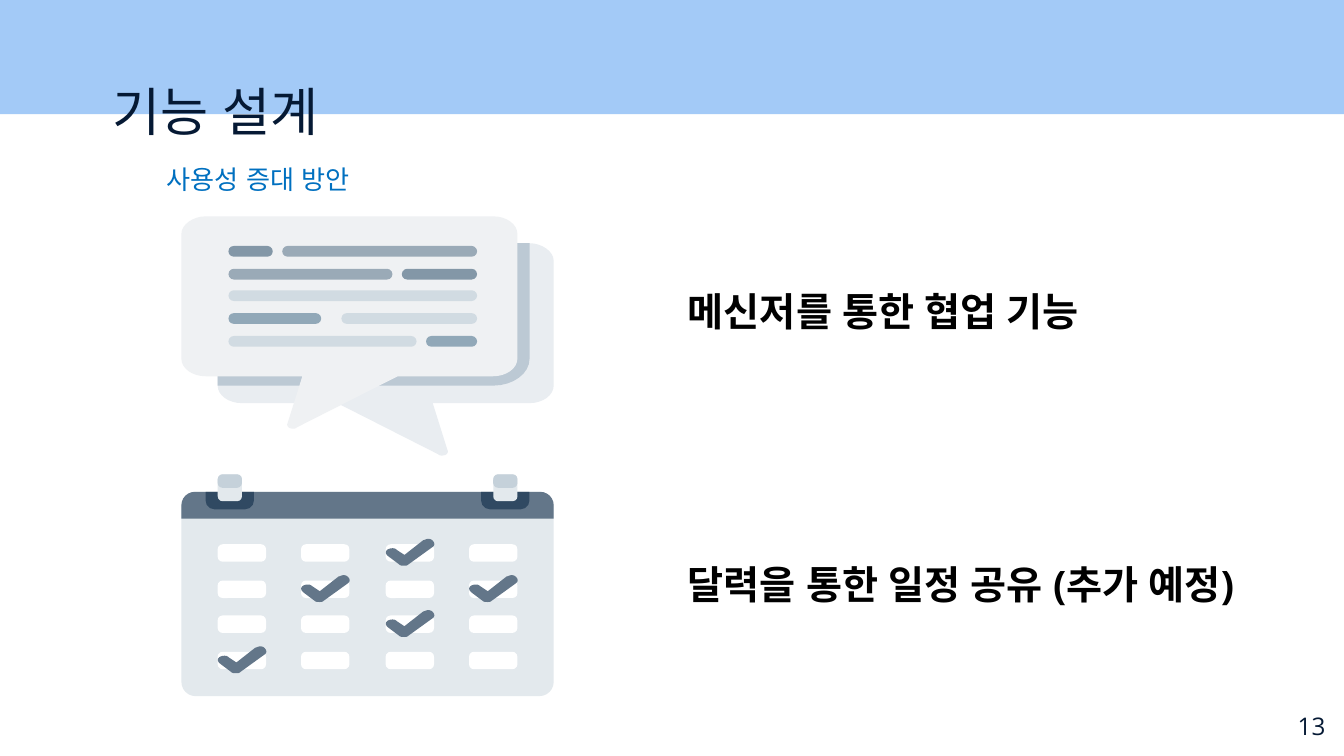
import lxml.etree
import pptx
import pptx.dml.color
import pptx.enum.shapes
import pptx.enum.text
import pptx.oxml.ns
import pptx.util

RGBColor = pptx.dml.color.RGBColor
Shape = pptx.enum.shapes.MSO_SHAPE
Align = pptx.enum.text.PP_ALIGN

PX = 9144  # EMU per px, 100 px to the inch
CURVE_STEPS = 8

SKY = RGBColor(0xA3, 0xCA, 0xF7)
NAVY = RGBColor(0x05, 0x19, 0x34)
BLUE = RGBColor(0x00, 0x70, 0xC0)
BLACK = RGBColor(0x00, 0x00, 0x00)
WHITE = RGBColor(0xFF, 0xFF, 0xFF)
BUBBLE_BACK = RGBColor(0xE9, 0xED, 0xF1)
BUBBLE_SHADE = RGBColor(0xBC, 0xC9, 0xD4)
BUBBLE_FRONT = RGBColor(0xEF, 0xF1, 0xF3)
BAR_PALE = RGBColor(0xD1, 0xDB, 0xE2)
BAR_GREY = RGBColor(0x9A, 0xAA, 0xB7)
BAR_DARK = RGBColor(0x83, 0x97, 0xA7)
BAR_BLUE = RGBColor(0x91, 0xA8, 0xB8)
PAPER = RGBColor(0xE3, 0xE9, 0xED)
SLATE = RGBColor(0x63, 0x76, 0x89)
CLIP_HOLE = RGBColor(0x30, 0x49, 0x62)
CLIP_TOP = RGBColor(0xC5, 0xD1, 0xDA)

# Outlines: (x, y) is a straight step, six numbers are a cubic curve
BUBBLE = [
    (180, 181), (170, 181, 162, 187, 162, 194),
    (162, 287), (162, 294, 170, 300, 180, 300),
    (251, 300), (326, 338), (327, 339, 328, 339, 329, 339),
    (332, 339, 334, 337, 333, 335), (322, 300),
    (394, 300), (404, 300, 412, 294, 412, 287),
    (412, 194), (412, 187, 403, 181, 394, 181),
]
SHADE = [
    (180, 181), (170, 181, 162, 187, 162, 194), (162, 287),
    (367, 287), (382, 287, 394, 278, 394, 267), (394, 181),
]
CHECK = [  # relative to the corner of its day cell
    (32, -4), (30, -4, 29, -3, 28, -3), (14, 8), (8, 4),
    (7, 3, 6, 3, 5, 3), (1, 3, -2, 6, 2, 9), (10, 15),
    (11, 16, 12, 16, 14, 16), (15, 16, 16, 16, 17, 15),
    (35, 2), (38, 0, 35, -4, 32, -4),
]


class SlideBuilder:
    def __init__(self, presentation):
        self.slide = presentation.slides.add_slide(presentation.slide_layouts[6])
        self.shapes = self.slide.shapes

    def start_group(self):
        self.shapes = self.slide.shapes.add_group_shape().shapes

    def paint(self, shape, color):
        shape.shadow.inherit = False
        shape.fill.solid()
        shape.fill.fore_color.rgb = color
        shape.line.fill.background()

    def box(self, left, top, width, height, color, kind=Shape.RECTANGLE, corners=()):
        shape = self.shapes.add_shape(
            kind, left * PX, top * PX, width * PX, height * PX)
        for index, corner in enumerate(corners):
            shape.adjustments[index] = corner
        self.paint(shape, color)

    def rounded(self, left, top, width, height, color, corner):
        self.box(left, top, width, height, color, Shape.ROUNDED_RECTANGLE, [corner])

    def outline(self, steps, color, dx=0, dy=0, flip=1):
        points = []
        for step in steps:
            if len(step) == 2:
                points.append(step)
                continue
            x0, y0 = points[-1]
            x1, y1, x2, y2, x3, y3 = step
            for index in range(1, CURVE_STEPS + 1):
                t = index / CURVE_STEPS
                a, b, c, d = (1 - t)**3, 3 * t * (1 - t)**2, 3 * t**2 * (1 - t), t**3
                points.append((a * x0 + b * x1 + c * x2 + d * x3,
                               a * y0 + b * y1 + c * y2 + d * y3))
        points = [(round((flip * x + dx) * PX), round((y + dy) * PX)) for x, y in points]
        builder = self.shapes.build_freeform(*points[0])
        builder.add_line_segments(points[1:], close=True)
        self.paint(builder.convert_to_shape(), color)

    def text(self, left, top, width, height, words, size, color, font="Open Sans",
             bold=False, align=Align.LEFT, inset=10):
        shape = self.slide.shapes.add_textbox(
            left * PX, top * PX, width * PX, height * PX)
        frame = shape.text_frame
        frame.word_wrap = True
        frame.margin_left = frame.margin_right = 10 * PX
        frame.margin_top = frame.margin_bottom = inset * PX
        paragraph = frame.paragraphs[0]
        paragraph.text = words
        paragraph.alignment = align
        paragraph.font.name = font
        paragraph.font.size = pptx.util.Pt(size)
        paragraph.font.bold = bold
        paragraph.font.color.rgb = color
        # Korean text takes its font from a:ea
        properties = paragraph._p.pPr.find(pptx.oxml.ns.qn("a:defRPr"))
        lxml.etree.SubElement(properties, pptx.oxml.ns.qn("a:ea"), typeface=font)


def draw_messenger(builder):
    builder.start_group()
    builder.outline(BUBBLE, BUBBLE_BACK)
    builder.outline(SHADE, BUBBLE_SHADE)
    # The front bubble mirrors the back one
    builder.outline(BUBBLE, BUBBLE_FRONT, dx=547, dy=-20, flip=-1)

    # Lines of chat text: (left, right, colour)
    rows = [
        [(170, 203, BAR_DARK), (210, 355, BAR_GREY)],
        [(170, 292, BAR_GREY), (299, 355, BAR_DARK)],
        [(170, 355, BAR_PALE)],
        [(170, 239, BAR_BLUE), (254, 355, BAR_PALE)],
        [(170, 310, BAR_PALE), (317, 355, BAR_BLUE)],
    ]
    for row, bars in enumerate(rows):
        for left, right, color in bars:
            builder.rounded(left, round(183 + 16.7 * row), right - left, 8, color, 0.5)


def draw_calendar(builder):
    builder.start_group()
    builder.rounded(135, 366, 277, 152, PAPER, 0.07)
    builder.box(135, 366, 277, 20, SLATE, Shape.ROUND_2_SAME_RECTANGLE, [0.5, 0])

    # Clips
    for left in (153, 358):
        builder.box(left, 366, 36, 13, CLIP_HOLE, Shape.ROUND_2_SAME_RECTANGLE, [0, 0.5])
        builder.rounded(left + 9, 353, 18, 20, PAPER, 0.2)
        builder.rounded(left + 9, 353, 18, 10, CLIP_TOP, 0.35)

    # Day cells, some of them ticked
    cells = [[(round(162 + 62.4 * column), round(405 + 26.6 * row))
              for column in range(4)] for row in range(4)]
    for row in cells:
        for left, top in row:
            builder.rounded(left, top, 36, 13, WHITE, 0.28)
    for row, column in [(0, 2), (1, 1), (1, 3), (2, 2), (3, 0)]:
        left, top = cells[row][column]
        builder.outline(CHECK, SLATE, left, top)


def main():
    presentation = pptx.Presentation()
    presentation.slide_width = pptx.util.Inches(10)
    presentation.slide_height = pptx.util.Inches(5.625)  # 16:9
    builder = SlideBuilder(presentation)

    # Header band and illustrations
    builder.box(0, 0, 1000, 85, SKY)
    draw_messenger(builder)
    draw_calendar(builder)

    # Texts
    builder.text(74, 49, 773, 63, "기능 설계", 28, NAVY, font="Arial")
    builder.text(114, 117, 560, 34, "사용성 증대 방안", 14, BLUE, font="Arial", inset=5)
    for top, words in [(204, "메신저를 통한 협업 기능"),
                       (407, "달력을 통한 일정 공유 (추가 예정)")]:
        builder.text(502, top, 673, 56, words, 21, BLACK, bold=True)
    builder.text(936, 519, 60, 43, "13", 13, NAVY, align=Align.RIGHT)

    presentation.save("out.pptx")


if __name__ == "__main__":
    main()
